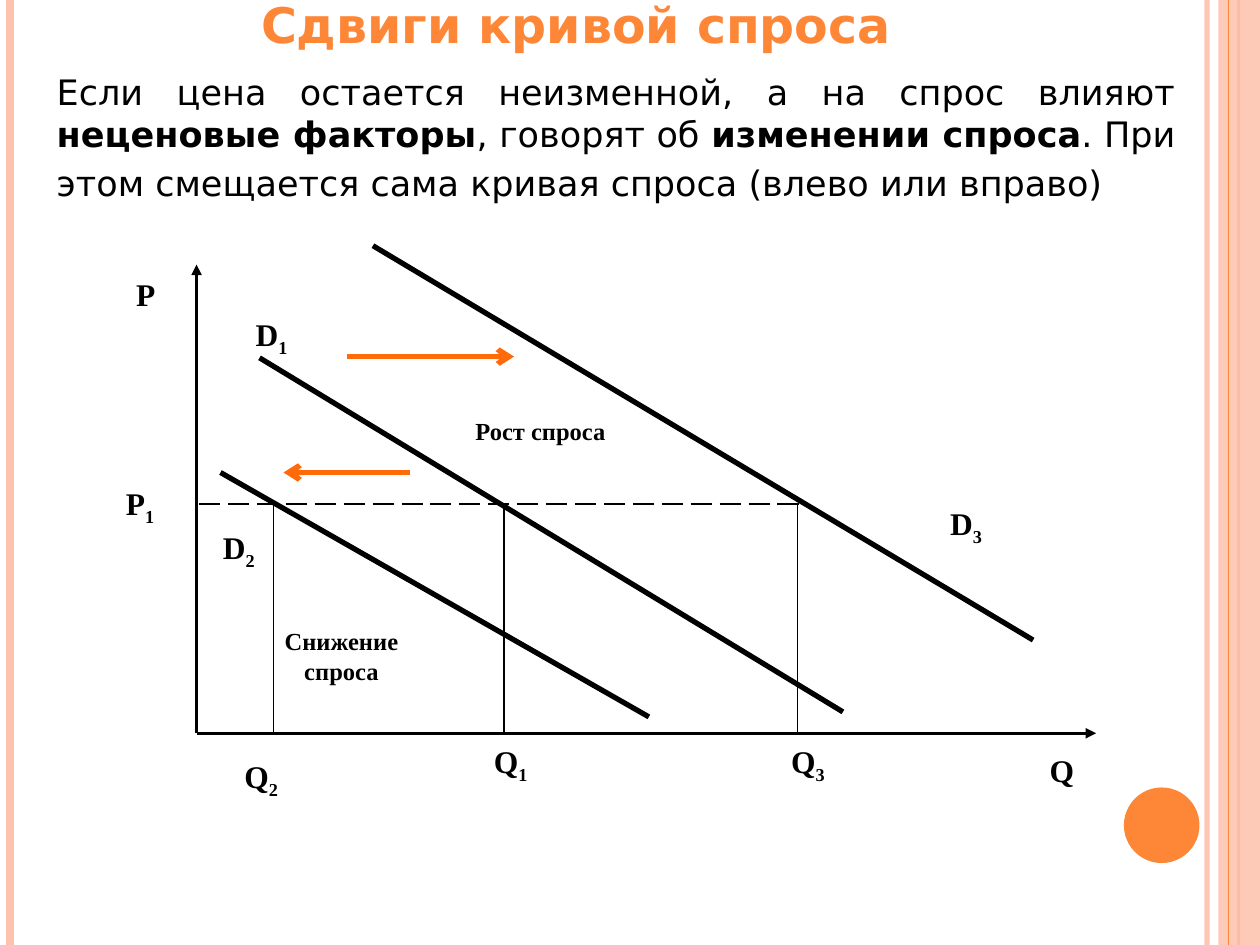
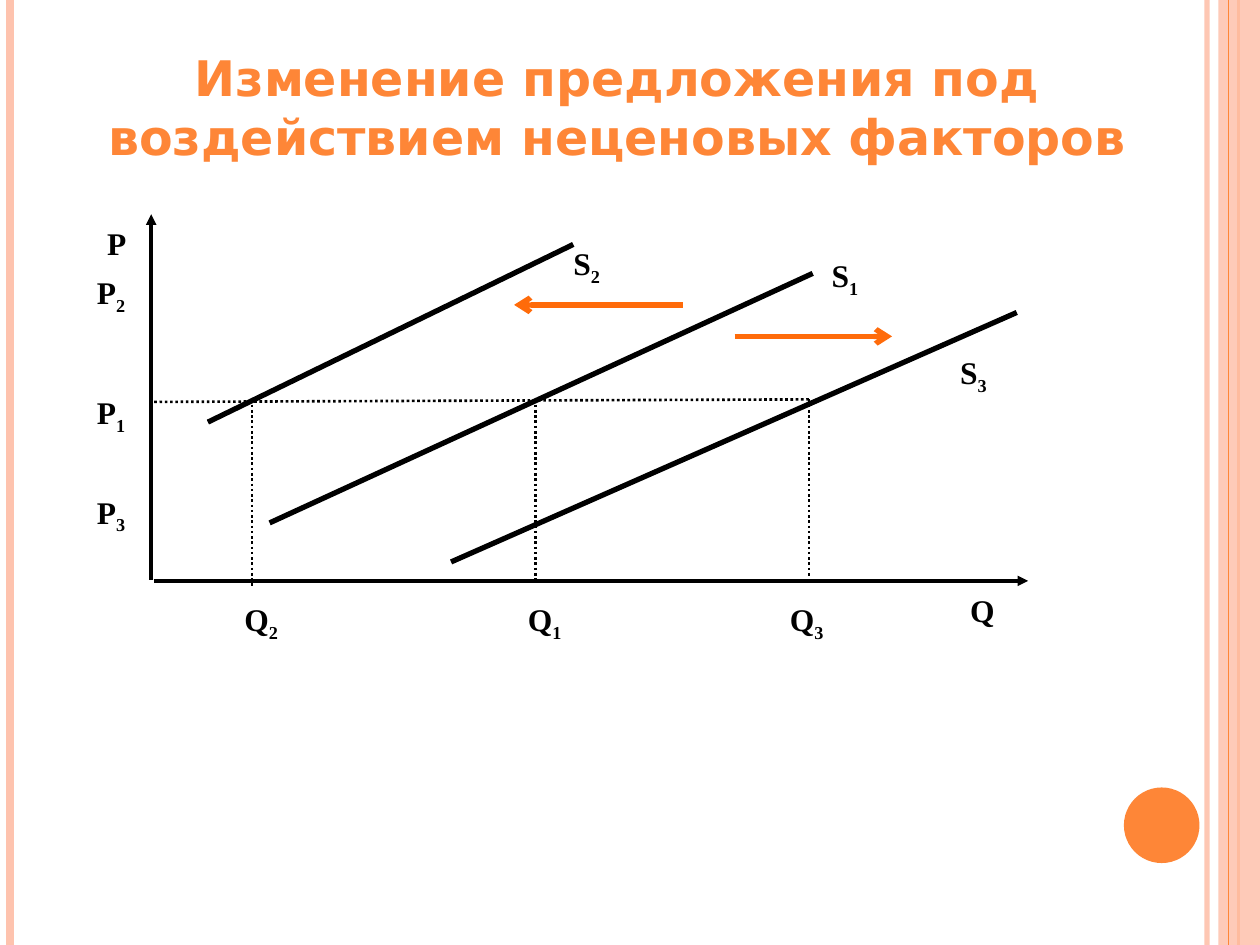
"""Builds two slides on how demand and supply curves shift."""
import lxml.etree
import pptx
import pptx.dml.color
import pptx.enum.dml
import pptx.enum.shapes
import pptx.enum.text
import pptx.oxml.ns
import pptx.util

Inches = pptx.util.Inches
Pt = pptx.util.Pt
qn = pptx.oxml.ns.qn
Shape = pptx.enum.shapes.MSO_SHAPE
Align = pptx.enum.text.PP_ALIGN
Dash = pptx.enum.dml.MSO_LINE
Fit = pptx.enum.text.MSO_AUTO_SIZE
Top = pptx.enum.text.MSO_ANCHOR.TOP

BLACK, ORANGE, PINK, ARROW = "000000", "FE8637", "FEC3AE", "FF6B0A"
SANS, SERIF = "DejaVu Sans", "Times New Roman"


def paint(fill, color, alpha=100):
    fill.solid()
    fill.fore_color.rgb = pptx.dml.color.RGBColor.from_string(color)
    if alpha < 100:
        tint = fill._xPr.find(qn("a:solidFill"))[0]
        lxml.etree.SubElement(tint, qn("a:alpha")).set("val", str(alpha * 1000))


def draw(slide, ends, color, width, dash=None, tip=None, alpha=100):
    link = slide.shapes.add_connector(
        pptx.enum.shapes.MSO_CONNECTOR.STRAIGHT, *[Inches(n) for n in ends])
    paint(link.line.fill, color, alpha)
    link.line.width = Pt(width)
    if dash:
        link.line.dash_style = dash
    if tip:
        edge = link.line._get_or_add_ln()
        lxml.etree.SubElement(edge, qn("a:tailEnd")).set("type", tip)
    lxml.etree.SubElement(link._element.spPr, qn("a:effectLst"))


deck = pptx.Presentation()
deck.slide_width, deck.slide_height = Inches(10), Inches(7.5)

demand = {
    "layout": 1,
    "title": ("Сдвиги кривой спроса", 0.67, -0.09, 7.8, 0.57),
    "curves": [(1.75, 3.75, 5.15, 5.69), (2.96, 1.95, 8.2, 5.08),
               (2.06, 2.84, 6.69, 5.65)],
    "axes": [(1.56, 5.82, 1.56, 2.1), (1.56, 5.82, 8.7, 5.82)],
    "level": (1.58, 4, 6.42, 4),
    "level_dash": Dash.LONG_DASH,
    "drops": [(x, 4, x, 5.83) for x in (2.17, 4, 6.33)],
    "drop_width": 0.75,
    "drop_dash": None,
    "shifts": [(2.75, 2.83, 4.08, 2.83), (3.25, 3.75, 2.25, 3.75)],
    "labels": [("D", "2", 1.75, 4.18), ("D", "3", 7.52, 3.99),
               ("D", "1", 2.01, 2.49), ("P", "", 1.06, 2.17),
               ("Q", "", 8.31, 5.95), ("P", "1", 0.98, 3.83),
               ("Q", "1", 3.9, 5.88), ("Q", "2", 1.92, 6),
               ("Q", "3", 6.26, 5.88)],
    "notes": [("Снижение спроса", 2, 4.92, 0.57),
              ("Рост спроса", 3.58, 3.25, 0.33)],
}
supply = {
    "layout": 5,
    "title": ("Изменение предложения под воздействием неценовых факторов",
              0.17, 0.33, 9.45, 1.03),
    "curves": [(4.55, 1.94, 1.65, 3.35), (8.07, 2.48, 3.58, 4.46),
               (6.45, 2.17, 2.14, 4.15)],
    "axes": [(1.2, 4.6, 1.2, 1.7), (1.22, 4.61, 8.16, 4.61)],
    "level": (6.42, 3.17, 1.22, 3.19),
    "level_dash": Dash.ROUND_DOT,
    "drops": [(x, 3.17, x, end)
              for x, end in ((6.42, 4.57), (2, 4.67), (4.25, 4.59))],
    "drop_width": 1.5,
    "drop_dash": Dash.ROUND_DOT,
    "shifts": [(5.42, 2.42, 4.08, 2.42), (5.83, 2.67, 7.08, 2.67)],
    "labels": [("S", "2", 4.53, 1.93), ("S", "3", 7.6, 2.79),
               ("S", "1", 6.58, 2.02), ("Р", "", 0.83, 1.77),
               ("Р", "2", 0.75, 2.16), ("Р", "1", 0.75, 3.11),
               ("Р", "3", 0.75, 3.9), ("Q", "2", 1.92, 4.75),
               ("Q", "1", 4.17, 4.75), ("Q", "3", 6.25, 4.75),
               ("Q", "", 7.68, 4.68)],
    "notes": [],
}

for plan in (demand, supply):
    slide = deck.slides.add_slide(deck.slide_layouts[plan["layout"]])

    for x, color, width, alpha in ((9.58, PINK, 3, 93), (0.08, PINK, 4.5, 100),
                                   (9.83, ORANGE, 1.5, 100)):
        draw(slide, (x, 0, x, 7.5), color, width, alpha=alpha)
    for kind, spot, color, alpha in (
            (Shape.RECTANGLE, (9.67, 0, 0.33, 7.5), PINK, 87),
            (Shape.OVAL, (8.92, 6.25, 0.6, 0.6), ORANGE, 100)):
        part = slide.shapes.add_shape(kind, *[Inches(n) for n in spot])
        part.shadow.inherit = False
        part.line.fill.background()
        paint(part.fill, color, alpha)
    draw(slide, (9.75, 0, 9.75, 7.5), ORANGE, 0.75)

    words, *spot = plan["title"]
    title = slide.shapes.title
    title.left, title.top, title.width, title.height = [Inches(n) for n in spot]
    title.text_frame.text = words
    title.text_frame.auto_size = Fit.NONE
    title.text_frame.vertical_anchor = Top
    para = title.text_frame.paragraphs[0]
    para.alignment = Align.CENTER
    para.font.name, para.font.size, para.font.bold = SANS, Pt(28), True
    paint(para.font.fill, ORANGE)

    for ends in plan["curves"]:
        draw(slide, ends, BLACK, 3)
    for ends in plan["axes"]:
        draw(slide, ends, BLACK, 2, tip="triangle")
    draw(slide, plan["level"], BLACK, 1.5, plan["level_dash"])
    for ends in plan["drops"]:
        draw(slide, ends, BLACK, plan["drop_width"], plan["drop_dash"])
    for ends in plan["shifts"]:
        draw(slide, ends, ARROW, 3, tip="arrow")

    for name, index, x, y in plan["labels"]:
        box = slide.shapes.add_textbox(Inches(x), Inches(y), Inches(0.5), Inches(0.4))
        frame = box.text_frame
        frame.word_wrap = True
        frame.margin_left = frame.margin_right = Inches(0.02)
        frame.margin_top = frame.margin_bottom = Inches(0.01)
        para = frame.paragraphs[0]
        para.font.name, para.font.size, para.font.bold = SERIF, Pt(18), True
        paint(para.font.fill, BLACK)
        para.add_run().text = name
        if index:
            run = para.add_run()
            run.text = index
            run._r.get_or_add_rPr().set("baseline", "-25000")

    for words, x, y, height in plan["notes"]:
        box = slide.shapes.add_textbox(Inches(x), Inches(y), Inches(1.42), Inches(height))
        box.text_frame.word_wrap = True
        para = box.text_frame.paragraphs[0]
        para.text = words
        para.alignment = Align.CENTER
        para.font.name, para.font.size, para.font.bold = SERIF, Pt(14), True
        paint(para.font.fill, BLACK)

body = deck.slides[0].placeholders[1]
body.left, body.top, body.width, body.height = [Inches(n) for n in (0.35, 0.51, 9.08, 1.17)]
body.text_frame.auto_size = Fit.NONE
para = body.text_frame.paragraphs[0]
props = para._p.get_or_add_pPr()
props.set("marL", "0")
props.set("indent", "0")
para.alignment = Align.JUSTIFY
para.space_before = Pt(0)
lxml.etree.SubElement(props, qn("a:buNone"))
para.font.size = Pt(20)
paint(para.font.fill, BLACK)
for words, bold, face, size in (
        ("Если цена остается неизменной, а на спрос влияют ", False, SANS, 20),
        ("неценовые факторы", True, SANS, 20),
        (", говорят об ", False, SANS, 20),
        ("изменении спроса", True, SANS, 20),
        (". При этом смещается сама кривая спроса (влево или вправо)", False, SANS, 20),
        (" ", True, "Arial", 24)):
    run = para.add_run()
    run.text = words
    run.font.bold, run.font.name, run.font.size = bold, face, Pt(size)

deck.save("out.pptx")
